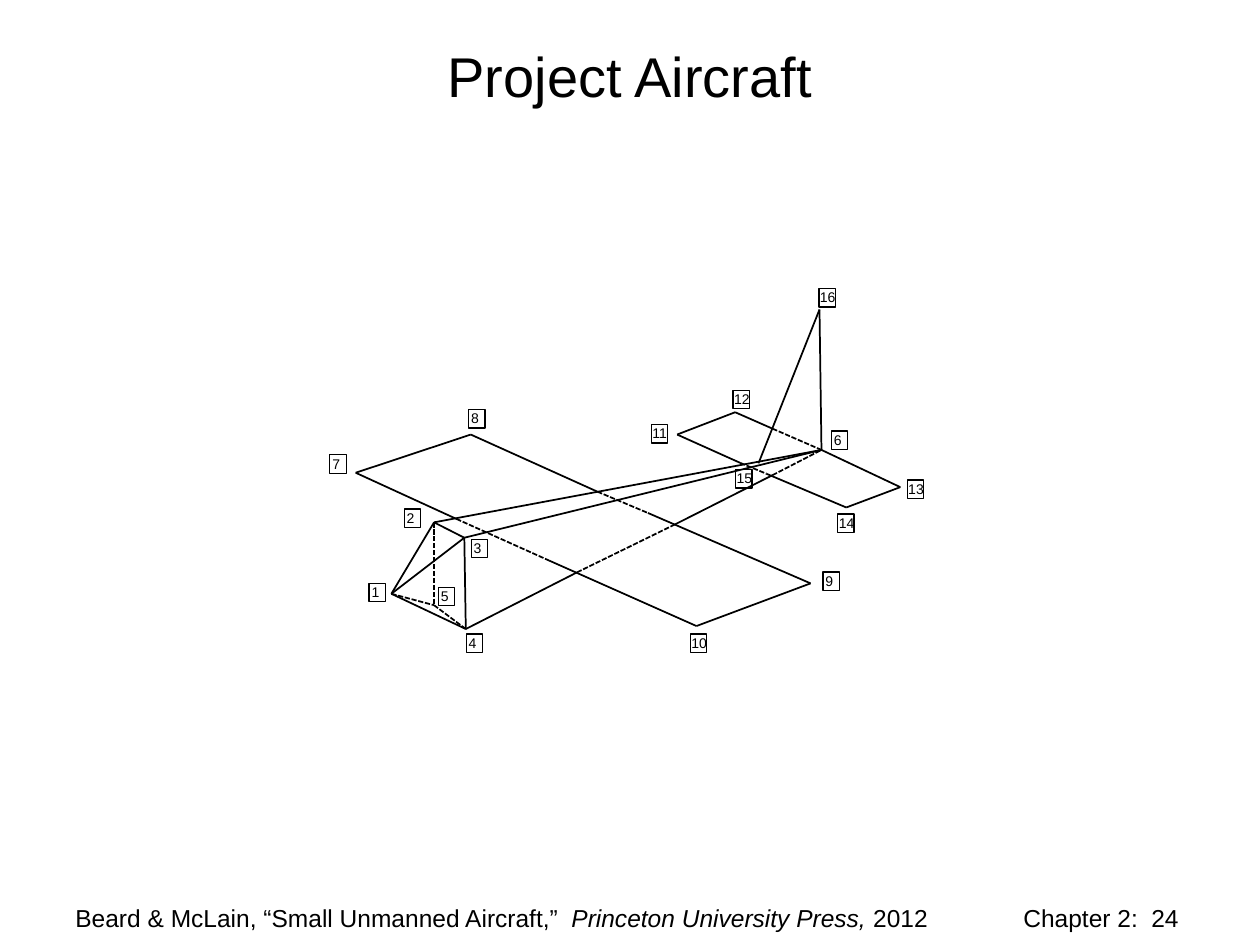
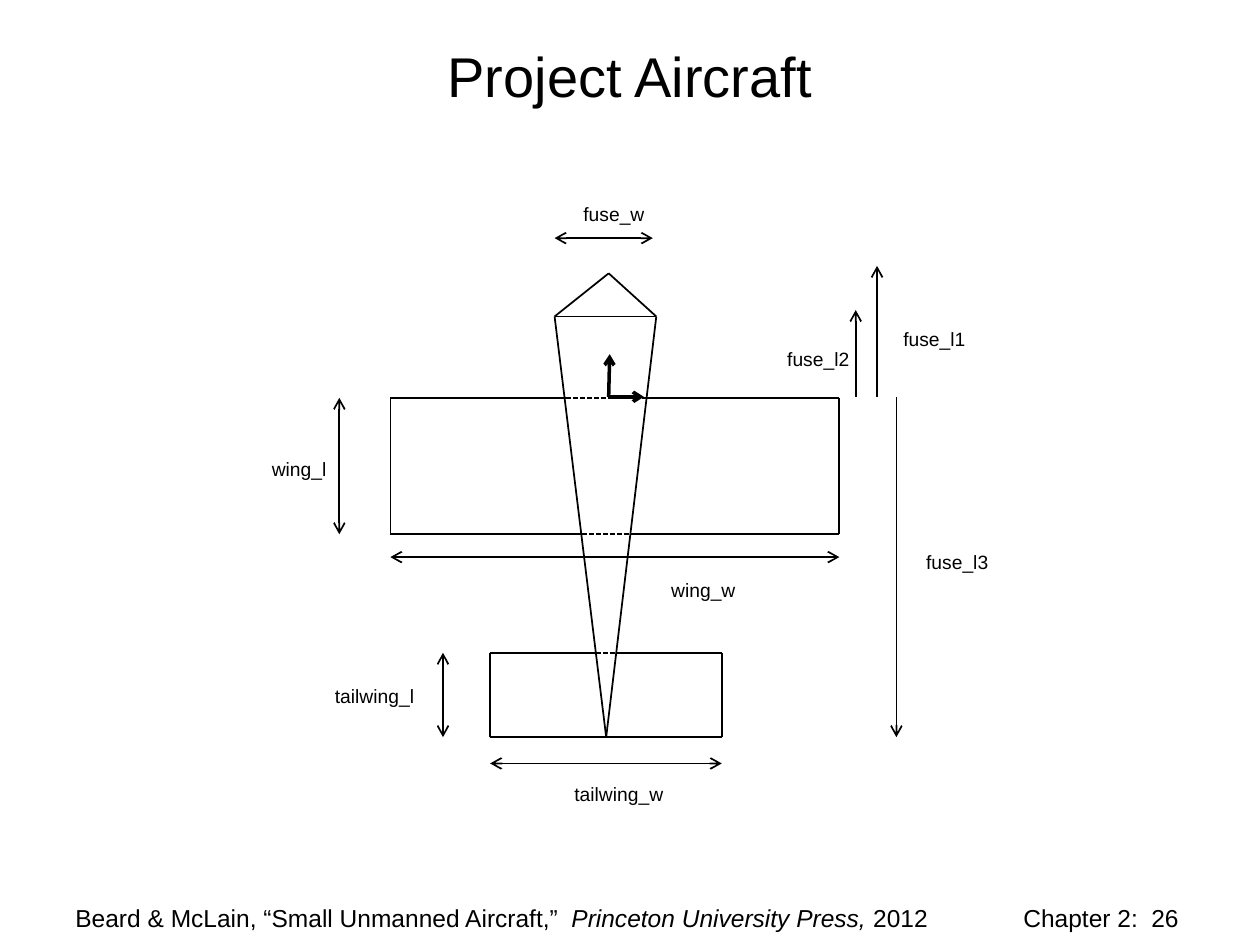
"""Build two slides that define the geometry of the project aircraft."""

from dataclasses import dataclass
from typing import NamedTuple

from lxml.etree import SubElement
from pptx import Presentation
from pptx.dml.color import RGBColor
from pptx.enum.dml import MSO_LINE
from pptx.enum.shapes import MSO_CONNECTOR, MSO_SHAPE
from pptx.enum.text import MSO_ANCHOR, MSO_AUTO_SIZE, PP_ALIGN
from pptx.oxml.ns import qn
from pptx.shapes.shapetree import GroupShapes
from pptx.slide import Slide
from pptx.text.text import _Paragraph as Paragraph
from pptx.util import Cm, Pt


@dataclass(frozen=True)
class Theme:
    """Hold the colours, type sizes and line widths."""

    font: str = "Arial"
    ink: RGBColor = RGBColor(0x00, 0x00, 0x00)
    paper: RGBColor = RGBColor(0xFF, 0xFF, 0xFF)
    title_size: float = 32
    footer_size: float = 14
    dimension_size: float = 11
    vertex_size: float = 8
    edge_width: float = 1
    axis_width: float = 2
    box_width: float = 0.75


class Point(NamedTuple):
    """Place a point in centimetres."""

    x: float
    y: float


class Edge(NamedTuple):
    """Join points with segments that alternate between visible and hidden."""

    points: tuple[Point, ...]
    hidden_first: bool = False


class Arrow(NamedTuple):
    """Join two points with an arrowhead at the end, or at both ends."""

    start: Point
    end: Point
    double: bool = False
    width: float = 1


class Label(NamedTuple):
    """Name a dimension at a place and width in centimetres."""

    text: str
    corner: Point
    width: float


THEME = Theme()
TITLE = "Project Aircraft"
FOOTER_TABS = (10.0, 19.11, 21.69)
DIMENSION_HEIGHT = 0.74
VERTEX_BOX = (0.33, 0.37)
VERTEX_TEXT_HEIGHT = 0.61

VERTICES = {
    1: Point(7.89, 11.97), 2: Point(8.75, 10.53),
    3: Point(9.36, 10.84), 4: Point(9.39, 12.68),
    5: Point(8.75, 12.2), 6: Point(16.56, 9.07),
    7: Point(7.17, 9.53), 8: Point(9.49, 8.76),
    9: Point(16.34, 11.76), 10: Point(14.04, 12.62),
    11: Point(13.65, 8.76), 12: Point(14.82, 8.31),
    13: Point(18.15, 9.82), 14: Point(17.06, 10.23),
    15: Point(15.29, 9.34), 16: Point(16.52, 6.24),
}
VERTEX_BOXES = {
    1: Point(7.44, 11.76), 2: Point(8.15, 10.26),
    3: Point(9.5, 10.87), 4: Point(9.4, 12.78),
    5: Point(8.84, 11.84), 6: Point(16.76, 8.69),
    7: Point(6.65, 9.17), 8: Point(9.45, 8.26),
    9: Point(16.59, 11.53), 10: Point(13.92, 12.78),
    11: Point(13.13, 8.56), 12: Point(14.78, 7.87),
    13: Point(18.29, 9.68), 14: Point(16.89, 10.36),
    15: Point(14.83, 9.47), 16: Point(16.51, 5.82),
}
VISIBLE_PAIRS = (
    (1, 2), (1, 3), (1, 4), (2, 3), (3, 4), (2, 6), (3, 6), (7, 8),
    (9, 10), (11, 12), (13, 14), (6, 16), (15, 16),
)
HIDDEN_PAIRS = ((1, 5), (2, 5), (4, 5))
CROSSED_EDGES = (
    Edge((VERTICES[7], Point(9.2, 10.46), Point(11.07, 11.3), VERTICES[10])),
    Edge((VERTICES[8], Point(12.04, 9.91), Point(13.06, 10.34), VERTICES[9])),
    Edge((VERTICES[11], Point(14.92, 9.33), Point(15.45, 9.55), VERTICES[14])),
    Edge((VERTICES[12], Point(15.57, 8.64), VERTICES[6], VERTICES[13])),
    Edge((VERTICES[4], Point(11.63, 11.54), Point(13.61, 10.57),
          Point(15.57, 9.58), VERTICES[6])),
)

NOSE, TAIL = Point(12.27, 5.51), Point(12.22, 14.86)
SHOULDER_LEFT, SHOULDER_RIGHT = Point(11.18, 6.38), Point(13.23, 6.38)
ORIGIN = Point(12.27, 8.0)
WING_LEFT, WING_RIGHT, WING_TOP, WING_BOTTOM = 7.87, 16.92, 8.02, 10.77
TAIL_LEFT, TAIL_RIGHT, TAIL_TOP, TAIL_BOTTOM = 9.88, 14.55, 13.16, 14.86

PLAN_EDGES = (
    Edge((SHOULDER_LEFT, NOSE)),
    Edge((NOSE, SHOULDER_RIGHT)),
    Edge((SHOULDER_LEFT, SHOULDER_RIGHT)),
    Edge((SHOULDER_LEFT, TAIL)),
    Edge((SHOULDER_RIGHT, TAIL)),
    Edge((Point(WING_LEFT, WING_TOP), Point(11.41, WING_TOP),
          Point(13.05, WING_TOP), Point(WING_RIGHT, WING_TOP))),
    Edge((Point(WING_LEFT, WING_BOTTOM), Point(11.73, WING_BOTTOM),
          Point(12.73, WING_BOTTOM), Point(WING_RIGHT, WING_BOTTOM))),
    Edge((Point(WING_LEFT, WING_TOP), Point(WING_LEFT, WING_BOTTOM))),
    Edge((Point(WING_RIGHT, WING_TOP), Point(WING_RIGHT, WING_BOTTOM))),
    Edge((Point(TAIL_LEFT, TAIL_TOP), Point(12.01, TAIL_TOP),
          Point(12.42, TAIL_TOP), Point(TAIL_RIGHT, TAIL_TOP))),
    Edge((Point(TAIL_LEFT, TAIL_BOTTOM), Point(TAIL_RIGHT, TAIL_BOTTOM))),
    Edge((Point(TAIL_LEFT, TAIL_TOP), Point(TAIL_LEFT, TAIL_BOTTOM))),
    Edge((Point(TAIL_RIGHT, TAIL_TOP), Point(TAIL_RIGHT, TAIL_BOTTOM))),
)
PLAN_ARROWS = (
    Arrow(ORIGIN, Point(12.29, 7.14), width=THEME.axis_width),
    Arrow(ORIGIN, Point(12.98, ORIGIN.y), width=THEME.axis_width),
    Arrow(Point(17.25, ORIGIN.y), Point(17.25, 6.25)),
    Arrow(Point(17.68, ORIGIN.y), Point(17.68, 5.36)),
    Arrow(Point(18.07, ORIGIN.y), Point(18.07, TAIL.y)),
    Arrow(Point(6.84, WING_BOTTOM), Point(6.84, WING_TOP), double=True),
    Arrow(Point(WING_RIGHT, 11.23), Point(WING_LEFT, 11.23), double=True),
    Arrow(Point(8.93, TAIL_BOTTOM), Point(8.93, TAIL_TOP), double=True),
    Arrow(Point(TAIL_RIGHT, 15.39), Point(TAIL_LEFT, 15.39), double=True),
    Arrow(Point(13.16, 4.8), Point(11.18, 4.8), double=True),
)
DIMENSION_LABELS = (
    Label("fuse_l1", Point(17.96, 6.48), 1.78),
    Label("fuse_l2", Point(15.62, 6.88), 1.78),
    Label("fuse_l3", Point(18.42, 10.97), 1.78),
    Label("tailwing_l", Point(6.5, 13.67), 2.16),
    Label("wing_l", Point(5.23, 9.09), 1.63),
    Label("wing_w", Point(13.28, 11.53), 1.91),
    Label("tailwing_w", Point(11.33, 15.65), 2.44),
    Label("fuse_w", Point(11.51, 3.96), 1.83),
)


def write_text(paragraph: Paragraph, text: str, *, size: float,
               italic: bool = False) -> None:
    """Append a formatted run to a paragraph."""
    run = paragraph.add_run()
    run.text = text
    run.font.name = THEME.font
    run.font.size = Pt(size)
    run.font.italic = italic
    run.font.color.rgb = THEME.ink


def draw_segment(shapes: GroupShapes, start: Point, end: Point, *,
                 width: float = THEME.edge_width, hidden: bool = False,
                 heads: tuple[str, ...] = ()) -> None:
    """Draw a straight line, dashed when hidden, with optional arrowheads."""
    connector = shapes.add_connector(
        MSO_CONNECTOR.STRAIGHT, Cm(start.x), Cm(start.y), Cm(end.x), Cm(end.y))
    connector.line.color.rgb = THEME.ink
    connector.line.width = Pt(width)
    if hidden:
        connector.line.dash_style = MSO_LINE.SQUARE_DOT
    line = connector.line._get_or_add_ln()
    for head in heads:
        SubElement(line, qn(f"a:{head}"), type="arrow")
    SubElement(connector._element.spPr, qn("a:effectLst"))


def draw_edge(shapes: GroupShapes, edge: Edge) -> None:
    """Draw the alternating segments of an edge."""
    for index, (start, end) in enumerate(zip(edge.points, edge.points[1:])):
        hidden = (index % 2 == 1) != edge.hidden_first
        draw_segment(shapes, start, end, hidden=hidden)


def draw_arrow(shapes: GroupShapes, arrow: Arrow) -> None:
    """Draw a dimension or axis arrow."""
    heads = ("headEnd", "tailEnd") if arrow.double else ("tailEnd",)
    draw_segment(shapes, arrow.start, arrow.end, width=arrow.width, heads=heads)


def draw_label(shapes: GroupShapes, label: Label, *, size: float,
               height: float) -> None:
    """Draw a one-line label that fits its text."""
    box = shapes.add_textbox(
        Cm(label.corner.x), Cm(label.corner.y), Cm(label.width), Cm(height))
    box.text_frame.word_wrap = False
    box.text_frame.auto_size = MSO_AUTO_SIZE.SHAPE_TO_FIT_TEXT
    write_text(box.text_frame.paragraphs[0], label.text, size=size)


def draw_vertex(shapes: GroupShapes, number: int, corner: Point) -> None:
    """Draw a vertex number in its box."""
    box = shapes.add_shape(MSO_SHAPE.RECTANGLE, Cm(corner.x), Cm(corner.y),
                           *map(Cm, VERTEX_BOX))
    box.shadow.inherit = False
    box.fill.background()
    box.line.color.rgb = THEME.ink
    box.line.width = Pt(THEME.box_width)
    inset, width = (0.2, 0.66) if number < 10 else (0.23, 0.84)
    text_corner = Point(corner.x - inset, corner.y - 0.12)
    draw_label(shapes, Label(str(number), text_corner, width),
               size=THEME.vertex_size, height=VERTEX_TEXT_HEIGHT)


def add_footer(slide: Slide, page: int) -> None:
    """Add the citation and the page number on tab stops."""
    box = slide.shapes.add_textbox(Cm(1.27), Cm(18.08), Cm(22.86), Cm(0.99))
    box.text_frame.word_wrap = True
    paragraph = box.text_frame.paragraphs[0]
    tab_list = SubElement(paragraph._p.get_or_add_pPr(), qn("a:tabLst"))
    for position in FOOTER_TABS:
        SubElement(tab_list, qn("a:tab"), pos=str(Cm(position)), algn="l")
    size = THEME.footer_size
    write_text(paragraph, "Beard & McLain, “Small Unmanned Aircraft,”\t", size=size)
    write_text(paragraph, "Princeton University Press,", size=size, italic=True)
    write_text(paragraph, f" 2012\tChapter 2:\t{page}", size=size)


def add_aircraft_slide(presentation: Presentation, page: int) -> GroupShapes:
    """Add a titled slide and return the shapes of its drawing."""
    slide = presentation.slides.add_slide(presentation.slide_layouts[5])
    slide.background.fill.solid()
    slide.background.fill.fore_color.rgb = THEME.paper
    title = slide.shapes.title
    title.left, title.top = Cm(1.27), Cm(0.51)
    title.width, title.height = Cm(22.86), Cm(2.01)
    title.text_frame.vertical_anchor = MSO_ANCHOR.MIDDLE
    paragraph = title.text_frame.paragraphs[0]
    paragraph.alignment = PP_ALIGN.CENTER
    write_text(paragraph, TITLE, size=THEME.title_size)
    add_footer(slide, page)
    return slide.shapes.add_group_shape().shapes


def build_vertex_slide(presentation: Presentation) -> None:
    """Build the perspective view with numbered vertices."""
    shapes = add_aircraft_slide(presentation, 24)
    for pairs, hidden in ((VISIBLE_PAIRS, False), (HIDDEN_PAIRS, True)):
        for start, end in pairs:
            draw_edge(shapes, Edge((VERTICES[start], VERTICES[end]), hidden))
    for edge in CROSSED_EDGES:
        draw_edge(shapes, edge)
    for number, corner in VERTEX_BOXES.items():
        draw_vertex(shapes, number, corner)


def build_dimension_slide(presentation: Presentation) -> None:
    """Build the plan view with named dimensions."""
    shapes = add_aircraft_slide(presentation, 26)
    for edge in PLAN_EDGES:
        draw_edge(shapes, edge)
    for arrow in PLAN_ARROWS:
        draw_arrow(shapes, arrow)
    for label in DIMENSION_LABELS:
        draw_label(shapes, label, size=THEME.dimension_size,
                   height=DIMENSION_HEIGHT)


def main() -> None:
    """Build and save the presentation."""
    presentation = Presentation()
    presentation.slide_width, presentation.slide_height = Cm(25.4), Cm(19.05)
    build_vertex_slide(presentation)
    build_dimension_slide(presentation)
    presentation.save("out.pptx")


if __name__ == "__main__":
    main()
